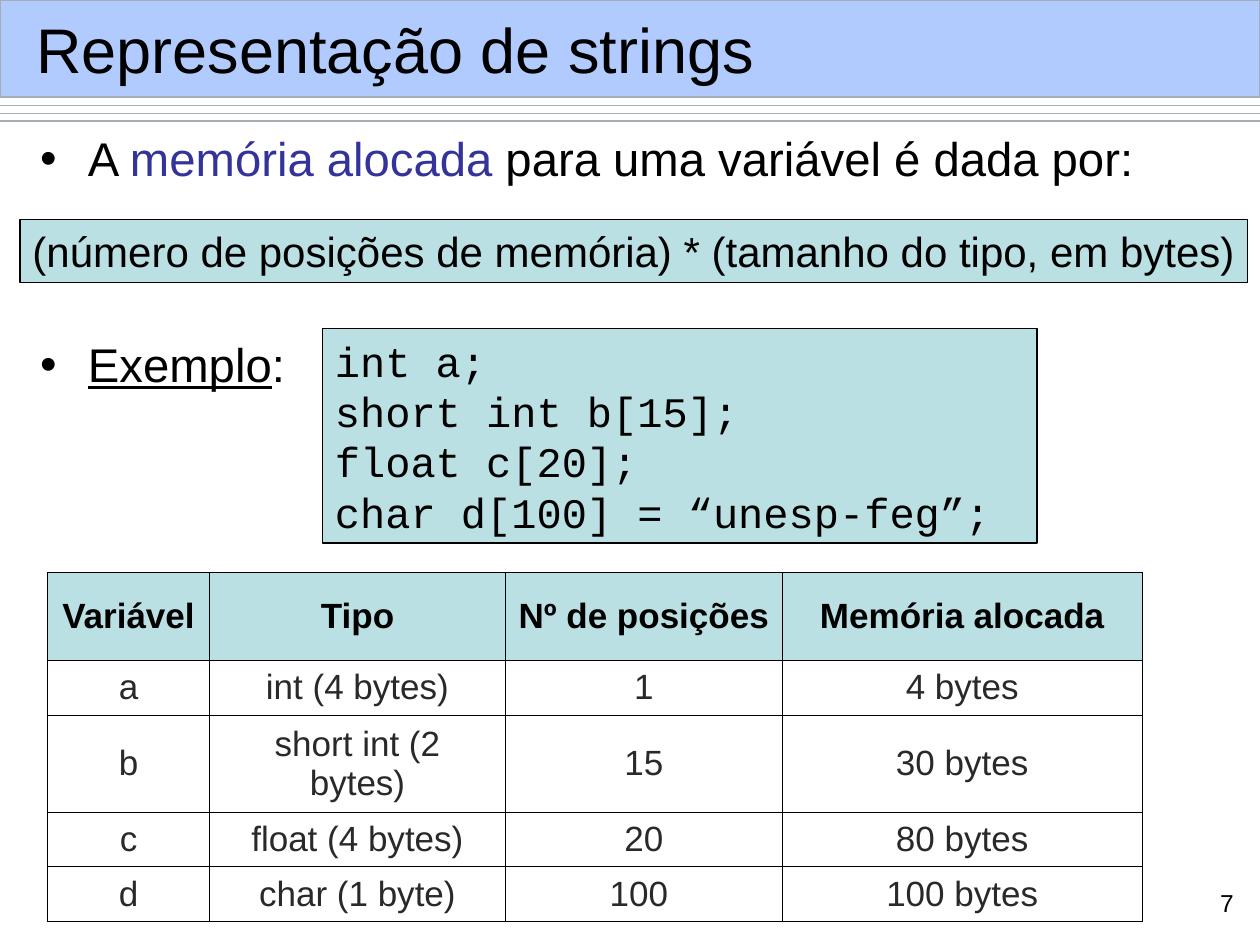
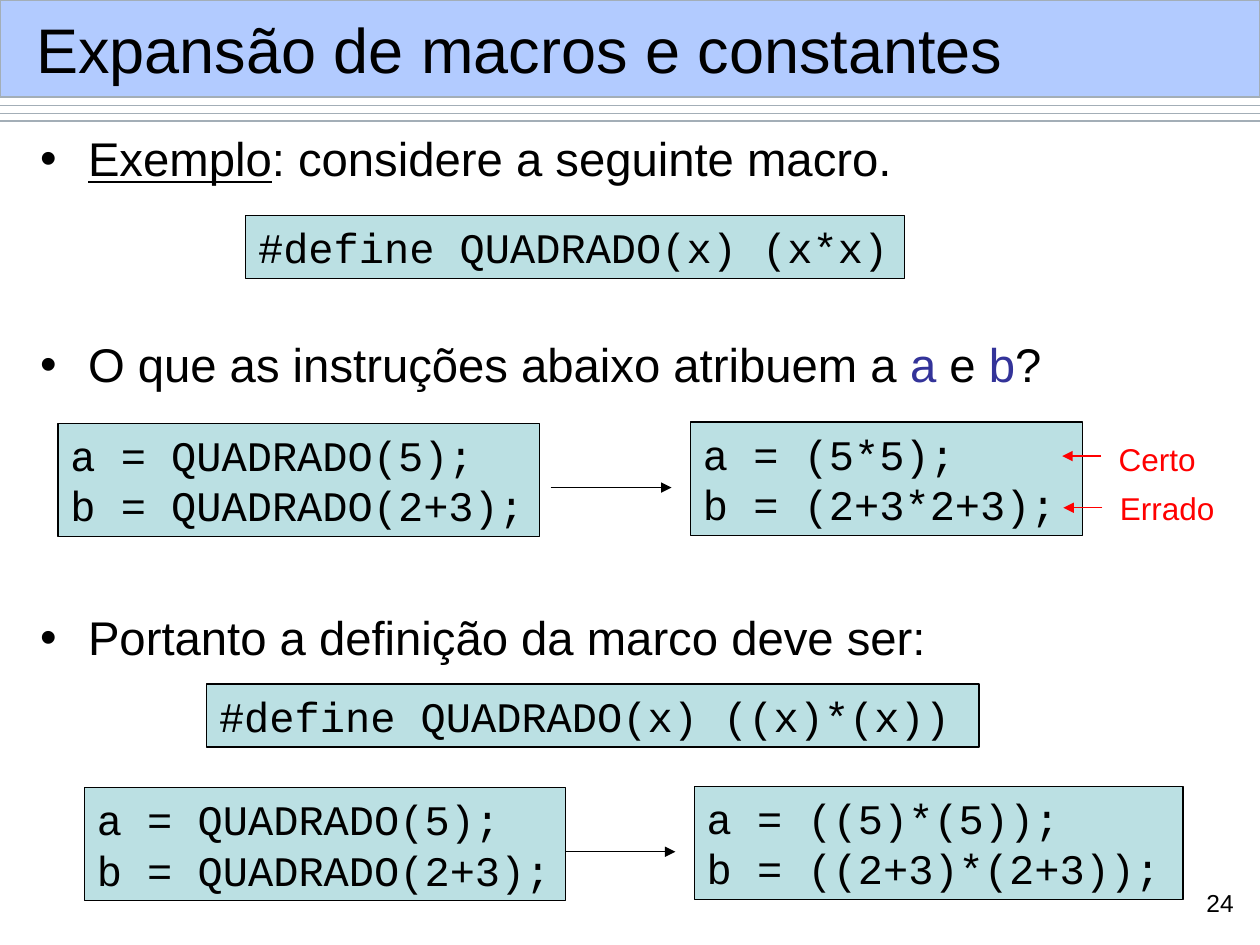
from lxml.etree import SubElement as Sub
from pptx import Presentation
from pptx.dml.color import RGBColor as Rgb
from pptx.enum.shapes import MSO_CONNECTOR as Link, MSO_SHAPE as Form
from pptx.enum.text import MSO_ANCHOR as Anchor, PP_ALIGN as Align
from pptx.oxml.ns import qn
from pptx.util import Inches, Pt

COLS, ROWS = 100, 75
WIDE, HIGH = Inches(10), Inches(7.5)
SANS, MONO = "Arial", "Courier New"
BLACK, WHITE, RED = "000000", "FFFFFF", "FF0000"
BLUE, GREY, TEAL, NAVY, DARK = "6699FF", "A3AEB7", "BBE0E3", "333399", "292929"
STEP, LINE = 38.6, 30.7


def hue(code):
    """Turn a hex string into a colour."""
    return Rgb.from_string(code)


def grid(*spots):
    """Turn column and row pairs into slide lengths."""
    return [int(n * (HIGH / ROWS if i % 2 else WIDE / COLS)) for i, n in enumerate(spots)]


def style(par, size, color=BLACK, face=SANS, bold=False):
    """Set the font of a paragraph."""
    font = par.font
    font.size, font.name, font.bold = Pt(size), face, bold
    font.color.rgb = hue(color)


def label(slide, box, text, size, color=BLACK, align=Align.LEFT, anchor=Anchor.TOP):
    """Place one line of plain text."""
    frame = slide.shapes.add_textbox(*grid(*box)).text_frame
    frame.word_wrap, frame.vertical_anchor = True, anchor
    par = frame.paragraphs[0]
    par.text, par.alignment = text, align
    style(par, size, color)


def block(slide, box, fill, edge):
    """Place a filled rectangle with a thin edge."""
    shape = slide.shapes.add_shape(Form.RECTANGLE, *grid(*box))
    shape.shadow.inherit = False
    shape.fill.solid()
    shape.fill.fore_color.rgb = hue(fill)
    shape.line.color.rgb, shape.line.width = hue(edge), Pt(0.75)
    return shape


def panel(slide, box, text, face=MONO, wrap=True):
    """Place a teal panel holding lines of text."""
    frame = block(slide, box, TEAL, BLACK).text_frame
    frame.word_wrap, frame.vertical_anchor = wrap, Anchor.TOP
    frame.text = text
    for par in frame.paragraphs:
        par.alignment = Align.LEFT
        style(par, 24, face=face)


def rule(slide, start, end, color, arrow=False):
    """Draw a thin line, with an arrowhead at its end if asked."""
    line = slide.shapes.add_connector(Link.STRAIGHT, *grid(*start, *end))
    line.line.color.rgb, line.line.width = hue(color), Pt(0.75)
    if arrow:
        Sub(line._element.spPr.find(qn("a:ln")), qn("a:tailEnd"), type="triangle")
    Sub(line._element.spPr, qn("a:effectLst"))


def frame(deck, title, page):
    """Add a slide with its band, rules, title and page number."""
    slide = deck.slides.add_slide(deck.slide_layouts[6])
    for i in range(3):
        y = 8.4 + 0.6 * i
        rule(slide, (0, y), (COLS, y), GREY)
    band = block(slide, (0, 0, COLS, 7.7), BLUE, GREY)
    tint = band._element.spPr.find(qn("a:solidFill"))[0]
    Sub(tint, qn("a:alpha"), val="50000")
    label(slide, (1.9, 0.9, 96.4, 5.9), title, 36, anchor=Anchor.MIDDLE)
    label(slide, (94.1, 70, 4.8, 3.6), page, 14, align=Align.RIGHT)
    return slide


def body(slide, box, items):
    """Place bullets, each a number of steps below the last, with marked runs."""
    text = slide.shapes.add_textbox(*grid(*box)).text_frame
    text.word_wrap = True
    for i, (steps, runs) in enumerate(items):
        par = text.add_paragraph() if i else text.paragraphs[0]
        prop = par._p.get_or_add_pPr()
        prop.set("marL", str(Inches(0.38)))
        prop.set("indent", str(Inches(-0.38)))
        Sub(prop, qn("a:buFont"), typeface=SANS)
        Sub(prop, qn("a:buChar"), char="•")
        style(par, 27)
        if steps:
            par.space_before = Pt(round(STEP * steps - LINE, 1))
        for words, mark in runs:
            run = par.add_run()
            run.text = words
            if mark == "line":
                run.font.underline = True
            elif mark == "key":
                run.font.color.rgb = hue(NAVY)


def border(cell):
    """Draw thin black lines round a cell."""
    prop = cell._tc.get_or_add_tcPr()
    for side in "LRTB":
        edge = Sub(prop, qn(f"a:ln{side}"), w=str(Pt(0.45)))
        Sub(Sub(edge, qn("a:solidFill")), qn("a:srgbClr"), val=BLACK)


def table(slide, box, cols, rows, data):
    """Place a table with a teal head row."""
    grille = slide.shapes.add_table(len(rows), len(cols), *grid(*box)).table
    grille.horz_banding = False
    for col, wide in zip(grille.columns, cols):
        col.width = grid(wide)[0]
    for row, high, words in zip(grille.rows, rows, data):
        head = words is data[0]
        row.height = grid(0, high)[1]
        for cell, word in zip(row.cells, words):
            border(cell)
            cell.fill.solid()
            cell.fill.fore_color.rgb = hue(TEAL if head else WHITE)
            cell.vertical_anchor = Anchor.MIDDLE
            par = cell.text_frame.paragraphs[0]
            par.text, par.alignment = word, Align.CENTER
            style(par, 20, BLACK if head else DARK, bold=head)


def expand(slide, box, share, result):
    """Place the macro calls, an arrow and the expanded code."""
    x, y, wide, high = box
    right = x + wide - share
    rule(slide, (right - 11.1, y + 5.2), (right - 1.5, y + 5.2), BLACK, True)
    panel(slide, (x, y + 0.1, 38.2, high), "a = QUADRADO(5);\nb = QUADRADO(2+3);")
    panel(slide, (right, y, share, high), result)


def marks(slide, box, words):
    """Place red verdicts, each with an arrow pointing left."""
    x, y, wide, high = box
    for i, word in enumerate(words):
        left, mid = x + 0.1 * i, y + 1.8 + 4.1 * i
        rule(slide, (left + 3.1, mid), (left, mid), RED, True)
        label(slide, (left + 3.5, y + 3.9 * i, wide - 3.5, high / len(words)), word, 18, RED)


def memory(deck):
    """Build the slide on memory taken by variables."""
    slide = frame(deck, "Representação de strings", "7")
    body(slide, (2.2, 9.8, 95.7, 62.4), [
        (0, [("A ", ""), ("memória alocada", "key"), (" para uma variável é dada por:", "")]),
        (3, [("Exemplo", "line"), (":", "")]),
    ])
    panel(slide, (1.6, 17.4, 97.4, 5),
          "(número de posições de memória) * (tamanho do tipo, em bytes)", SANS, False)
    panel(slide, (25.6, 26.1, 56.7, 17),
          "int a;\nshort int b[15];\nfloat c[20];\nchar d[100] = “unesp-feg”;")
    table(slide, (3.75, 45.4, 86.9, 24.4), (12.9, 23.45, 22, 28.55), [7] + [4.36] * 4, [
        ("Variável", "Tipo", "Nº de posições", "Memória alocada"),
        ("a", "int (4 bytes)", "1", "4 bytes"),
        ("b", "short int (2 bytes)", "15", "30 bytes"),
        ("c", "float (4 bytes)", "20", "80 bytes"),
        ("d", "char (1 byte)", "100 ", "100 bytes"),
    ])


def macros(deck):
    """Build the slide on macro expansion."""
    slide = frame(deck, "Expansão de macros e constantes", "24")
    body(slide, (2.2, 9.8, 96.8, 62.4), [
        (0, [("Exemplo", "line"), (": considere a seguinte macro.", "")]),
        (3, [("O que as instruções abaixo atribuem a ", ""), ("a", "key"),
             (" e ", ""), ("b", "key"), ("?", "")]),
        (4, [("Portanto a definição da marco deve ser:", "")]),
    ])
    panel(slide, (19.5, 17.1, 52.3, 5), "#define QUADRADO(x) (x*x)")
    expand(slide, (4.6, 33.5, 81.3, 9), 31.1, "a = (5*5);\nb = (2+3*2+3);")
    marks(slide, (84.3, 34.4, 13.6, 8), ("Certo", "Errado"))
    panel(slide, (16.4, 54.3, 61.3, 5), "#define QUADRADO(x) ((x)*(x))")
    expand(slide, (6.7, 62.4, 87.2, 9), 38.8, "a = ((5)*(5));\nb = ((2+3)*(2+3));")


def main():
    """Build and save the deck."""
    deck = Presentation()
    deck.slide_width, deck.slide_height = WIDE, HIGH
    memory(deck)
    macros(deck)
    deck.save("out.pptx")


if __name__ == "__main__":
    main()
